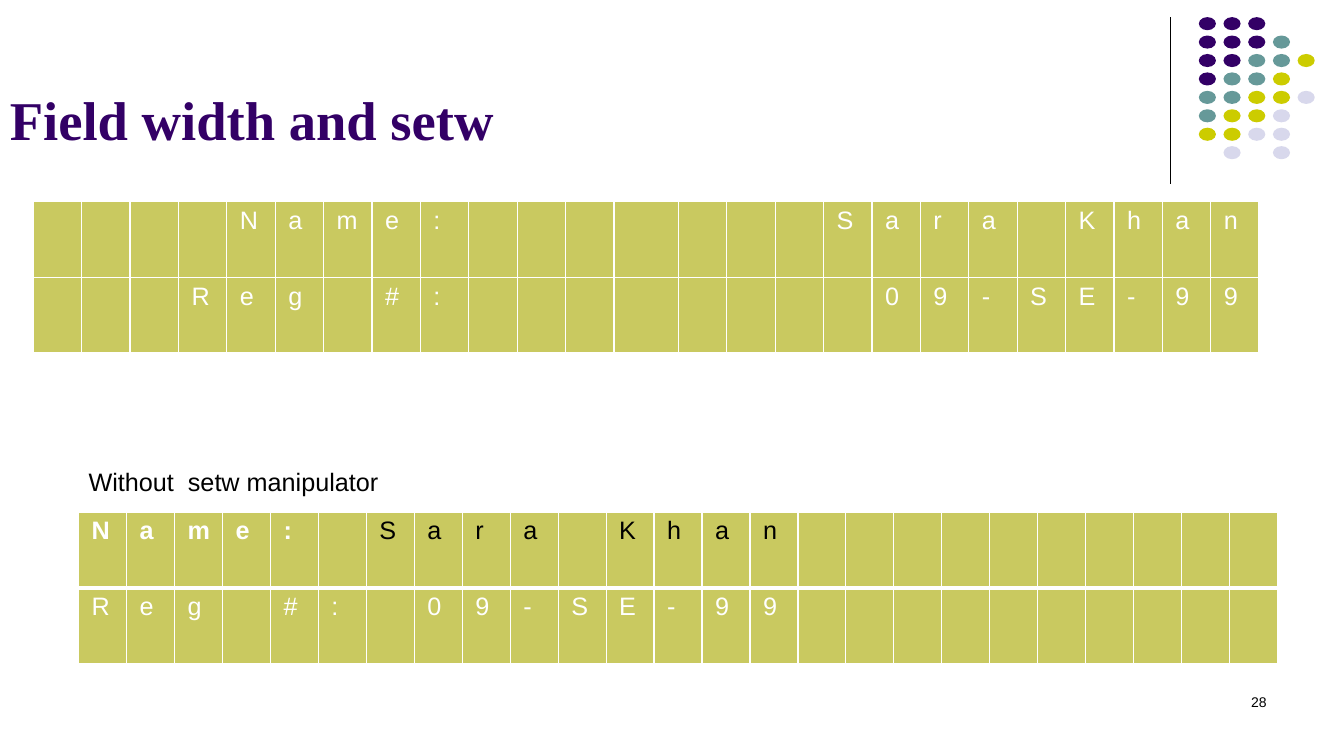
from dataclasses import dataclass

from lxml.etree import SubElement
from pptx import Presentation
from pptx.dml.color import RGBColor as Color
from pptx.enum.shapes import MSO_CONNECTOR as Connector, MSO_SHAPE as Shape
from pptx.enum.text import MSO_ANCHOR as Anchor, PP_ALIGN as Align
from pptx.oxml.ns import qn
from pptx.util import Inches, Pt


@dataclass(frozen=True)
class Theme:
    purple: str = "330066"
    teal: str = "669999"
    lime: str = "CCCC00"
    lilac: str = "D8D8EC"
    olive: str = "C9C960"
    black: str = "000000"
    white: str = "FFFFFF"
    heading_font: str = "Times New Roman"
    body_font: str = "Arial"
    title_size: float = 39
    body_size: float = 18
    number_size: float = 10


THEME = Theme()
DOT_COLORS = {"P": THEME.purple, "T": THEME.teal, "Y": THEME.lime, "L": THEME.lilac}
DOT_ROWS = ["PPP", "PPPT", "PPTTY", "PTTY", "TTYYL", "TYYL", "YYLL", " L L"]


def style(para, size, color, bold=False, name=THEME.body_font):
    font = para.font
    font.size, font.bold, font.name = Pt(size), bold, name
    font.color.rgb = Color.from_string(color)


def add_text(page, box, text, size, color=THEME.black, anchor=Anchor.TOP, align=Align.LEFT,
             wrap=True, **font):
    frame = page.shapes.add_textbox(*map(Inches, box)).text_frame
    frame.word_wrap, frame.vertical_anchor = wrap, anchor
    para = frame.paragraphs[0]
    para.text, para.alignment = text, align
    style(para, size, color, **font)


def add_corner(page, box):
    """Draw the vertical rule and, to its right, the pattern of dots."""
    left, top, width, height = box
    rule = page.shapes.add_connector(
        Connector.STRAIGHT, *map(Inches, (left, top, left, top + height)))
    rule.line.color.rgb = Color.from_string(THEME.black)
    rule.line.width = Pt(0.75)
    SubElement(rule._element.spPr, qn("a:effectLst"))

    dot_width, dot_height, first = 0.17, 0.13, left + 0.28
    across = (left + width - dot_width - first) / 4
    down = 1.28 / (len(DOT_ROWS) - 1)
    dots = page.shapes.add_group_shape().shapes
    for row, codes in enumerate(DOT_ROWS):
        for column, code in enumerate(codes):
            if code == " ":
                continue
            dot = dots.add_shape(Shape.OVAL, Inches(first + column * across),
                                 Inches(top + row * down), Inches(dot_width), Inches(dot_height))
            dot.shadow.inherit = False
            dot.fill.solid()
            dot.fill.fore_color.rgb = Color.from_string(DOT_COLORS[code])
            dot.line.fill.background()


def add_borders(cell, **widths):
    """Give each named side (L, R, T, B) a white line, its width in points."""
    properties = cell._tc.get_or_add_tcPr()
    for index, (side, width) in enumerate(widths.items()):
        line = properties.makeelement(qn(f"a:ln{side}"), {"w": str(Pt(width))})
        fill = SubElement(line, qn("a:solidFill"))
        SubElement(fill, qn("a:srgbClr"), val=THEME.white)
        properties.insert(index, line)


def add_character_grid(page, box, lines, widths, divider=1, heading_length=0):
    """Put one character in each cell; the first heading_length of line one are bold,
    and the rest of that line is then black."""
    table = page.shapes.add_table(len(lines), len(widths), *map(Inches, box)).table
    table.first_row = table.horz_banding = False
    for column, width in zip(table.columns, widths):
        column.width = Inches(width)
    for row, line in enumerate(lines):
        table.rows[row].height = Inches(box[3] / len(lines))
        for column, character in enumerate(line):
            cell = table.cell(row, column)
            cell.margin_left = cell.margin_right = Inches(0.13)
            cell.fill.solid()
            cell.fill.fore_color.rgb = Color.from_string(THEME.olive)
            add_borders(cell, L=1, R=1, T=divider if row else 1, B=1 if row else divider)
            para = cell.text_frame.paragraphs[0]
            para.text = character.strip()
            headed = row == 0 and heading_length > 0
            bold = headed and column < heading_length
            style(para, THEME.body_size, THEME.black if headed and not bold else THEME.white, bold)


def add_setw_slide(deck):
    page = deck.slides.add_slide(deck.slide_layouts[6])
    add_corner(page, (11.61, 0.17, 1.43, 1.66))
    add_text(page, (0, 0.13, 11, 1.42), "Field width and setw", THEME.title_size, THEME.purple,
             Anchor.BOTTOM, bold=True, name=THEME.heading_font)

    records = [("Name:", "Sara Khan"), ("Reg #:", "09-SE-99")]
    padded = [label.rjust(9) + value.rjust(16) for label, value in records]
    plain = [f"{label} {value}".ljust(25) for label, value in records]
    add_character_grid(page, (0.33, 2, 12.15, 1.5), padded, [0.48] * 12 + [0.64] + [0.48] * 12)
    add_character_grid(page, (0.78, 5.08, 11.89, 1.5), plain, [11.89 / 25] * 25,
                       divider=3, heading_length=6)

    add_text(page, (0.78, 4.58, 3.1, 0.4), "Without  setw manipulator", THEME.body_size, wrap=False)
    add_text(page, (9.55, 6.83, 3.11, 0.5), "28", THEME.number_size, align=Align.RIGHT)


def main():
    deck = Presentation()
    deck.slide_width, deck.slide_height = Inches(13.33), Inches(7.5)
    add_setw_slide(deck)
    deck.save("out.pptx")


if __name__ == "__main__":
    main()
